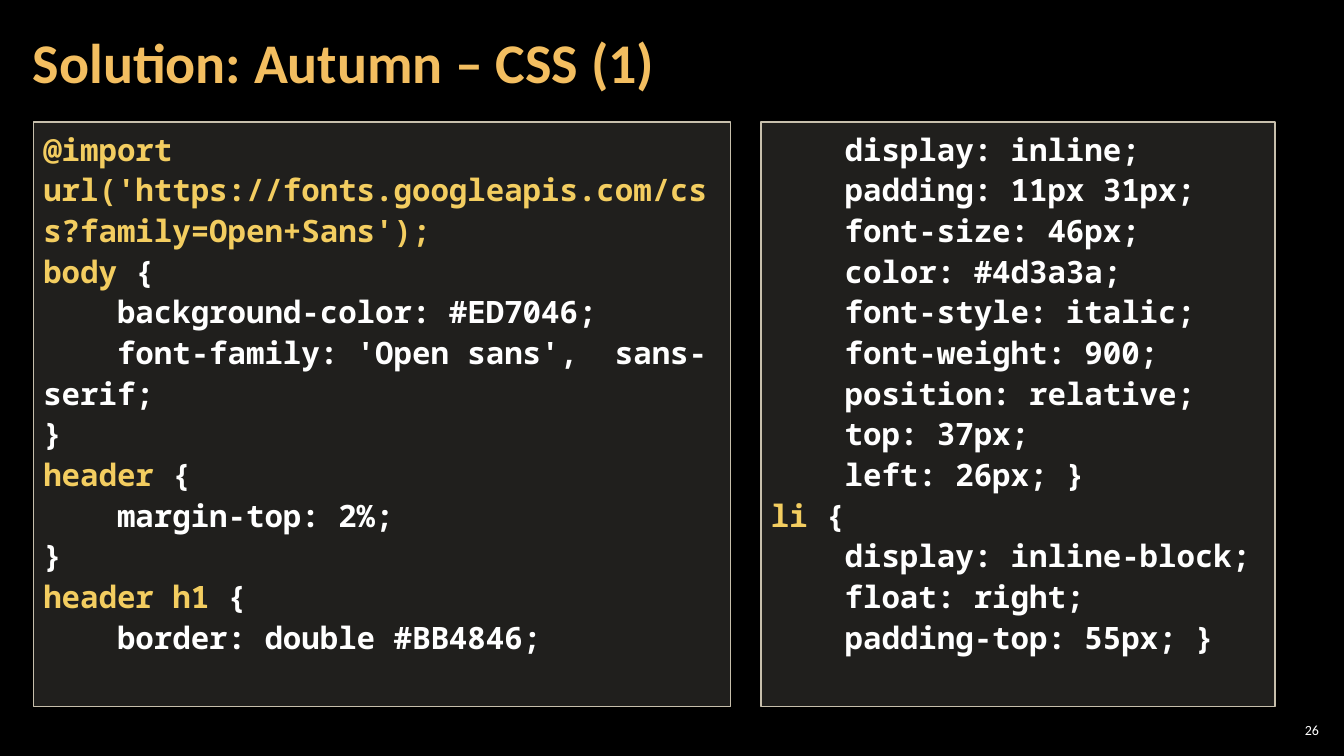
from lxml import etree
from pptx import Presentation
from pptx.dml.color import RGBColor
from pptx.enum import shapes, text
from pptx.oxml import ns
from pptx.util import Pt

COLORS = {
    "background": "000000",
    "title": "F3BE60",
    "selector": "F3CD60",
    "code": "FFFFFF",
    "panel": "D9D5C7",
    "border": "C7BFAC",
}
TEXT_FONT = "Calibri"
CODE_FONT = "Noto Sans Mono"
PANEL_TOP, PANEL_HEIGHT = 87.1, 417.6

LEFT_CODE = """@import url('https://fonts.googleapis.com/css?family=Open+Sans');
body {
    background-color: #ED7046;
    font-family: 'Open sans',  sans-serif;
}
header {
    margin-top: 2%;
}
header h1 {
    border: double #BB4846;"""

RIGHT_CODE = """    display: inline;
    padding: 11px 31px;
    font-size: 46px;
    color: #4d3a3a;
    font-style: italic;
    font-weight: 900;
    position: relative;
    top: 37px;
    left: 26px; }
li {
    display: inline-block;
    float: right;
    padding-top: 55px; }"""


def rgb(name):
    return RGBColor.from_string(COLORS[name])


def style_run(r, font, size, color, bold=False):
    r.font.name = font
    r.font.size = Pt(size)
    r.font.bold = bold
    r.font.color.rgb = rgb(color)


def set_frame(tf, anchor, side, edge):
    tf.word_wrap = True
    tf.auto_size = text.MSO_AUTO_SIZE.NONE
    tf.vertical_anchor = anchor
    tf.margin_left = tf.margin_right = Pt(side)
    tf.margin_top = tf.margin_bottom = Pt(edge)


def add_title(slide, title, left, top, width, height):
    sp = slide.shapes.title
    sp.left, sp.top, sp.width, sp.height = map(Pt, (left, top, width, height))
    tf = sp.text_frame
    set_frame(tf, text.MSO_ANCHOR.MIDDLE, 8.5, 2.8)
    tf.text = title
    p = tf.paragraphs[0]
    p.alignment = text.PP_ALIGN.LEFT
    p.line_spacing = 0.9
    style_run(p.runs[0], TEXT_FONT, 40, "title", True)


def add_code_panel(slide, code, left, top, width, height):
    sp = slide.shapes.add_shape(
        shapes.MSO_SHAPE.RECTANGLE, *map(Pt, (left, top, width, height)))
    sp.shadow.inherit = False
    sp.fill.solid()
    sp.fill.fore_color.rgb = rgb("panel")
    fill = sp._element.spPr.find(ns.qn("a:solidFill"))
    etree.SubElement(fill[0], ns.qn("a:alpha"), val="15000")
    sp.line.color.rgb = rgb("border")
    sp.line.width = Pt(1)
    tf = sp.text_frame
    set_frame(tf, text.MSO_ANCHOR.TOP, 7.2, 3.6)
    for i, line in enumerate(code.splitlines()):
        p = tf.add_paragraph() if i else tf.paragraphs[0]
        p.alignment = text.PP_ALIGN.LEFT
        p.line_spacing = 1.1
        if line.startswith((" ", "}")):
            parts = [(line, "code")]
        else:
            selector, brace, _ = line.partition("{")
            parts = [(selector, "selector"), (brace, "code")]
        for part, color in parts:
            if part:
                r = p.add_run()
                r.text = part
                style_run(r, CODE_FONT, 22, color, True)


def add_page_number(slide, number, left, top, width, height):
    sp = slide.shapes.add_textbox(*map(Pt, (left, top, width, height)))
    tf = sp.text_frame
    set_frame(tf, text.MSO_ANCHOR.MIDDLE, 2.8, 2.8)
    tf.text = number
    p = tf.paragraphs[0]
    p.alignment = text.PP_ALIGN.RIGHT
    style_run(p.runs[0], TEXT_FONT, 10, "code")


def main():
    prs = Presentation()
    prs.slide_width, prs.slide_height = Pt(960), Pt(540)
    slide = prs.slides.add_slide(prs.slide_layouts[5])
    slide.background.fill.solid()
    slide.background.fill.fore_color.rgb = rgb("background")
    add_title(slide, "Solution: Autumn – CSS (1)", 15, 3, 754, 87)
    for code, left, width in ((LEFT_CODE, 23.8, 498.2), (RIGHT_CODE, 543.6, 367.2)):
        add_code_panel(slide, code, left, PANEL_TOP, width, PANEL_HEIGHT)
    add_page_number(slide, "26", 911, 514, 34, 15)
    prs.save("out.pptx")


if __name__ == "__main__":
    main()
